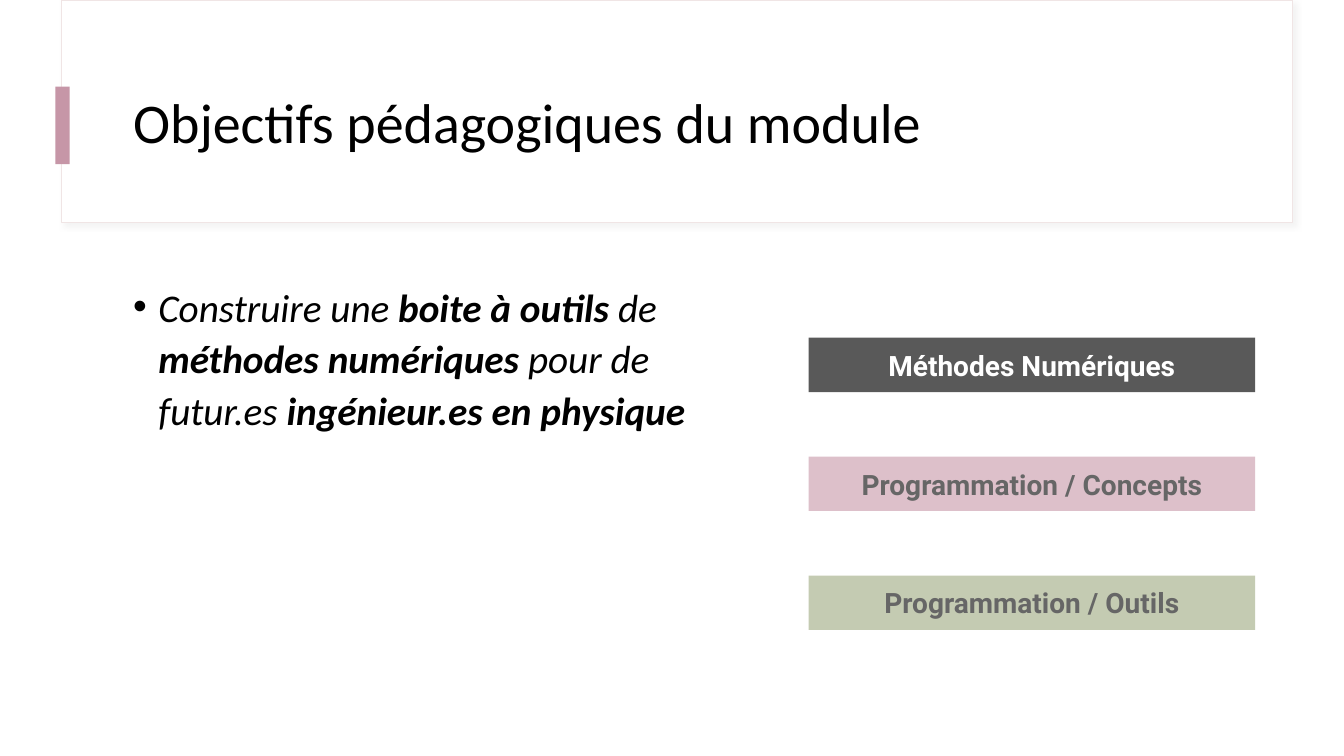
from lxml import etree
from pptx import Presentation
from pptx.dml.color import RGBColor
from pptx.enum.shapes import MSO_SHAPE
from pptx.enum.text import MSO_ANCHOR, MSO_AUTO_SIZE, PP_ALIGN
from pptx.oxml.ns import qn
from pptx.util import Inches, Pt

RECTANGLE = MSO_SHAPE.RECTANGLE
MIDDLE, TOP = MSO_ANCHOR.MIDDLE, MSO_ANCHOR.TOP
LEFT, CENTER = PP_ALIGN.LEFT, PP_ALIGN.CENTER
NO_AUTOFIT = MSO_AUTO_SIZE.NONE
TITLE_AND_CONTENT = 1

TITLE = "Objectifs pédagogiques du module"
GOAL = [  # text, bold
    ("Construire une ", False),
    ("boite à outils ", True),
    ("de ", False),
    ("méthodes numériques ", True),
    ("pour de futur.es ", False),
    ("ingénieur.es en physique", True),
]
THEMES = [  # label, fill, text colour
    ("Méthodes Numériques", "595959", "FFFFFF"),
    ("Programmation / Concepts", "DDC0CA", "666666"),
    ("Programmation / Outils", "C4CBB2", "666666"),
]
THEME_TOP, THEME_PITCH = 3.35, 1.18


def color(hex_value):
    return RGBColor.from_string(hex_value)


def place(shape, left, top, width, height):
    shape.left, shape.top = Inches(left), Inches(top)
    shape.width, shape.height = Inches(width), Inches(height)


def format_font(font, name, size, hex_value, bold=False, italic=False):
    font.name, font.size = name, Pt(size)
    font.color.rgb = color(hex_value)
    font.bold, font.italic = bold, italic


def add_rectangle(slide, left, top, width, height, fill):
    shape = slide.shapes.add_shape(
        RECTANGLE, Inches(left), Inches(top), Inches(width), Inches(height))
    shape.shadow.inherit = False
    shape.fill.solid()
    shape.fill.fore_color.rgb = color(fill)
    shape.line.fill.background()
    return shape


def add_soft_shadow(shape):
    effects = shape._element.spPr.find(qn("a:effectLst"))
    shadow = etree.SubElement(
        effects, qn("a:outerShdw"), blurRad=str(Pt(4)), dist=str(Pt(3)),
        dir=str(45 * 60000), algn="tl", rotWithShape="0")
    shade = etree.SubElement(shadow, qn("a:srgbClr"), val="D9D9D9")
    etree.SubElement(shade, qn("a:alpha"), val="30000")


def add_title_frame(slide):
    """Draw the title's frame and accent bar behind the placeholders."""
    frame = add_rectangle(slide, 0.61, 0, 12.21, 2.21, "FFFFFF")
    frame.line.color.rgb = color("F0E5E5")
    frame.line.width = Pt(0.75)
    add_soft_shadow(frame)
    accent = add_rectangle(slide, 0.55, 0.86, 0.14, 0.77, "C696A7")
    title_element = slide.shapes.title._element
    for shape in (frame, accent):
        title_element.addprevious(shape._element)


def fill_title(title):
    place(title, 1.22, 0.6, 11.12, 1.29)
    text_frame = title.text_frame
    text_frame.text = TITLE
    text_frame.auto_size = NO_AUTOFIT
    text_frame.vertical_anchor = MIDDLE
    paragraph = text_frame.paragraphs[0]
    paragraph.alignment = LEFT
    paragraph.line_spacing = 0.9
    format_font(paragraph.runs[0].font, "Calibri", 40, "000000")


def add_bullet(paragraph):
    properties = paragraph._p.get_or_add_pPr()
    properties.set("marL", str(Inches(0.25)))
    properties.set("indent", str(Inches(-0.25)))
    etree.SubElement(properties, qn("a:buFont"), typeface="Arial")
    etree.SubElement(properties, qn("a:buChar"), char="•")


def fill_goal(body):
    place(body, 1.22, 2.71, 5.83, 4.04)
    text_frame = body.text_frame
    text_frame.auto_size = NO_AUTOFIT
    text_frame.vertical_anchor = TOP
    paragraph = text_frame.paragraphs[0]
    add_bullet(paragraph)
    paragraph.line_spacing = 1.1
    paragraph.space_before = Pt(0)
    for text, bold in GOAL:
        run = paragraph.add_run()
        run.text = text
        format_font(run.font, "Calibri", 28, "000000", bold, italic=True)


def add_theme(slide, top, label, fill, text_color):
    shape = add_rectangle(slide, 8.02, top, 4.43, 0.54, fill)
    text_frame = shape.text_frame
    text_frame.text = label
    text_frame.word_wrap = True
    text_frame.vertical_anchor = MIDDLE
    paragraph = text_frame.paragraphs[0]
    paragraph.alignment = CENTER
    format_font(paragraph.runs[0].font, "Roboto", 20, text_color, bold=True)


def main():
    presentation = Presentation()
    presentation.slide_width = Inches(13.33)
    presentation.slide_height = Inches(7.5)
    layout = presentation.slide_layouts[TITLE_AND_CONTENT]
    slide = presentation.slides.add_slide(layout)
    add_title_frame(slide)
    fill_title(slide.shapes.title)
    fill_goal(slide.placeholders[1])
    for index, theme in enumerate(THEMES):
        add_theme(slide, THEME_TOP + index * THEME_PITCH, *theme)
    presentation.save("out.pptx")


if __name__ == "__main__":
    main()
